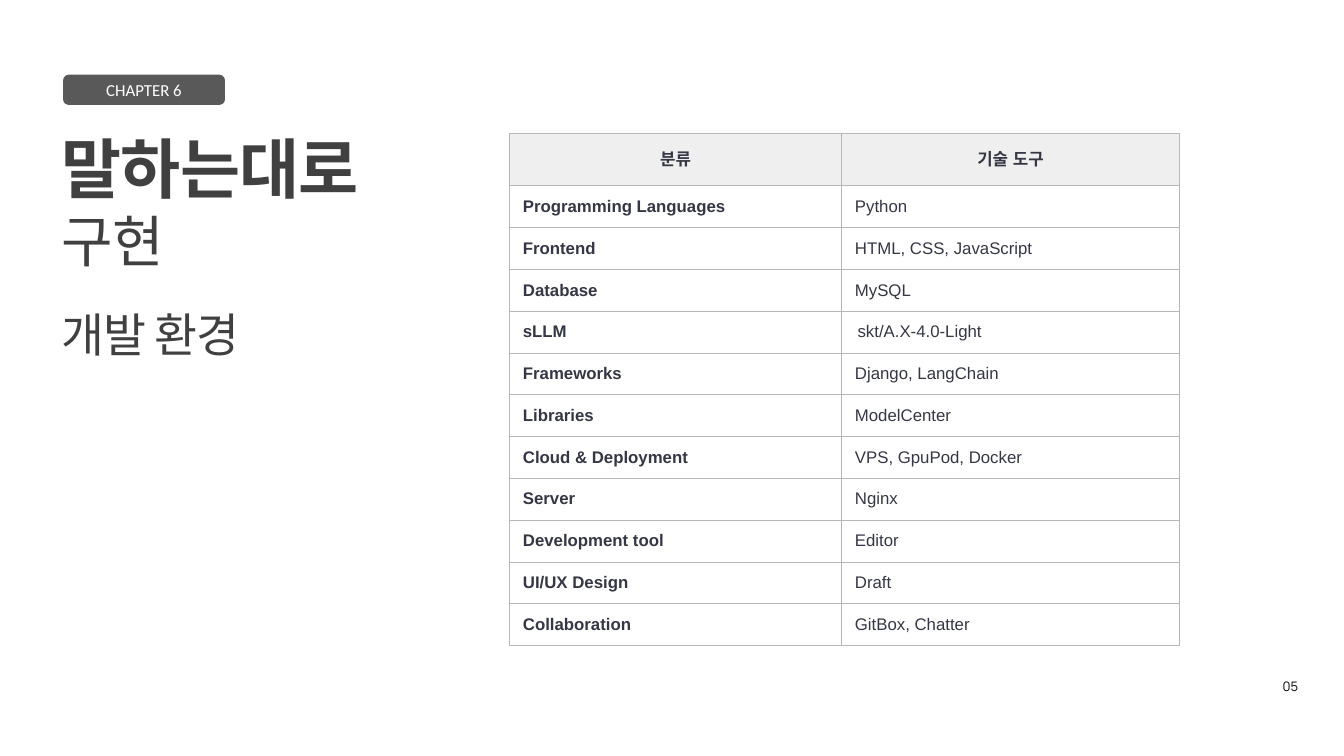
"""Build the chapter 6 slide that lists the development environment."""
from lxml import etree
from pptx import Presentation
from pptx.dml.color import RGBColor
from pptx.enum.shapes import MSO_SHAPE
from pptx.enum.text import MSO_ANCHOR, PP_ALIGN
from pptx.oxml.ns import qn
from pptx.util import Cm, Pt

CENTER, LEFT, RIGHT = PP_ALIGN.CENTER, PP_ALIGN.LEFT, PP_ALIGN.RIGHT
MIDDLE, BOTTOM = MSO_ANCHOR.MIDDLE, MSO_ANCHOR.BOTTOM
ROUNDED = MSO_SHAPE.ROUNDED_RECTANGLE
WHITE = RGBColor(0xFF, 0xFF, 0xFF)
BLACK = RGBColor(0x00, 0x00, 0x00)
BADGE_GRAY = RGBColor(0x59, 0x59, 0x59)
TITLE_GRAY = RGBColor(0x40, 0x40, 0x40)
TABLE_INK = RGBColor(0x35, 0x37, 0x44)
HEADER_FILL = RGBColor(0xEF, 0xEF, 0xEF)
BORDER_GRAY = RGBColor(0xB7, 0xB7, 0xB7)

TOOLS = [
    ("분류", "기술 도구"),
    ("Programming Languages", "Python"),
    ("Frontend", "HTML, CSS, JavaScript"),
    ("Database", "MySQL"),
    ("sLLM", "skt/A.X-4.0-Light"),
    ("Frameworks", "Django, LangChain"),
    ("Libraries", "ModelCenter"),
    ("Cloud & Deployment", "VPS, GpuPod, Docker"),
    ("Server", "Nginx"),
    ("Development tool", "Editor"),
    ("UI/UX Design", "Draft"),
    ("Collaboration", "GitBox, Chatter"),
]


def write(paragraph, text, size, font, color, bold=False, align=LEFT,
          indent=0, spacing=None, before=None, tracking=None):
    paragraph.alignment = align
    paragraph.line_spacing = spacing
    paragraph.space_before = before
    if indent:
        paragraph._p.get_or_add_pPr().set("marL", str(indent))
    run = paragraph.add_run()
    run.text = text
    run.font.size = Pt(size)
    run.font.name = font
    run.font.bold = bold
    run.font.color.rgb = color
    properties = run._r.get_or_add_rPr()
    etree.SubElement(properties, qn("a:ea"), typeface=font)
    if tracking:
        properties.set("spc", str(tracking))


def add_text_frame(slide, left, top, width, height):
    frame = slide.shapes.add_textbox(Cm(left), Cm(top), Cm(width), Cm(height)).text_frame
    frame.word_wrap = True
    frame.margin_left = frame.margin_right = frame.margin_top = frame.margin_bottom = 0
    return frame


prs = Presentation()
prs.slide_width, prs.slide_height = Cm(50.8), Cm(28.58)
slide = prs.slides.add_slide(prs.slide_layouts[6])

badge = slide.shapes.add_shape(ROUNDED, Cm(2.42), Cm(2.86), Cm(6.05), Cm(1.07))
badge.shadow.inherit = False
badge.fill.solid()
badge.fill.fore_color.rgb = BADGE_GRAY
badge.line.color.rgb = BADGE_GRAY
badge.line.width = Pt(2)
badge.text_frame.vertical_anchor = MIDDLE
write(badge.text_frame.paragraphs[0], "CHAPTER 6", 18, "Calibri", WHITE, align=CENTER)

page_number = add_text_frame(slide, 47.55, 25.55, 1.52, 0.71)
page_number.vertical_anchor = BOTTOM
write(page_number.paragraphs[0], "05", 14, "Manrope", BLACK, align=RIGHT, spacing=1.16)

title = add_text_frame(slide, 2.34, 4.83, 13.16, 5.74)
title_lines = [("말하는대로", 70, True, None), ("구현", 60, False, None), ("개발 환경", 50, False, Pt(35))]
for index, (text, size, bold, before) in enumerate(title_lines):
    paragraph = title.add_paragraph() if index else title.paragraphs[0]
    write(paragraph, text, size, "Manrope", TITLE_GRAY, bold=bold,
          spacing=1.0, before=before, tracking=-100)

tools = slide.shapes.add_table(len(TOOLS), 2, Cm(19.26), Cm(5.04), Cm(25.32), Cm(19.38)).table
tools.first_row = tools.horz_banding = False
tools.columns[0].width, tools.columns[1].width = Cm(12.55), Cm(12.77)
for row, entries in enumerate(TOOLS):
    header = row == 0
    tools.rows[row].height = Cm(1.98) if header else Cm(1.58)
    for column, text in enumerate(entries):
        cell = tools.cell(row, column)
        cell.vertical_anchor = MIDDLE
        for side in ("a:lnL", "a:lnR", "a:lnT", "a:lnB"):
            border = etree.SubElement(cell._tc.get_or_add_tcPr(), qn(side), w=str(Pt(0.5)))
            fill = etree.SubElement(border, qn("a:solidFill"))
            etree.SubElement(fill, qn("a:srgbClr"), val=str(BORDER_GRAY))
        if header:
            cell.fill.solid()
            cell.fill.fore_color.rgb = HEADER_FILL
        else:
            cell.fill.background()
        indent = Cm(0.35) if text.startswith("skt/") else Cm(0.25)
        write(cell.text_frame.paragraphs[0], text, 18, "Arial", TABLE_INK,
              bold=header or column == 0, align=CENTER if header else LEFT,
              indent=0 if header else indent)

prs.save("out.pptx")
